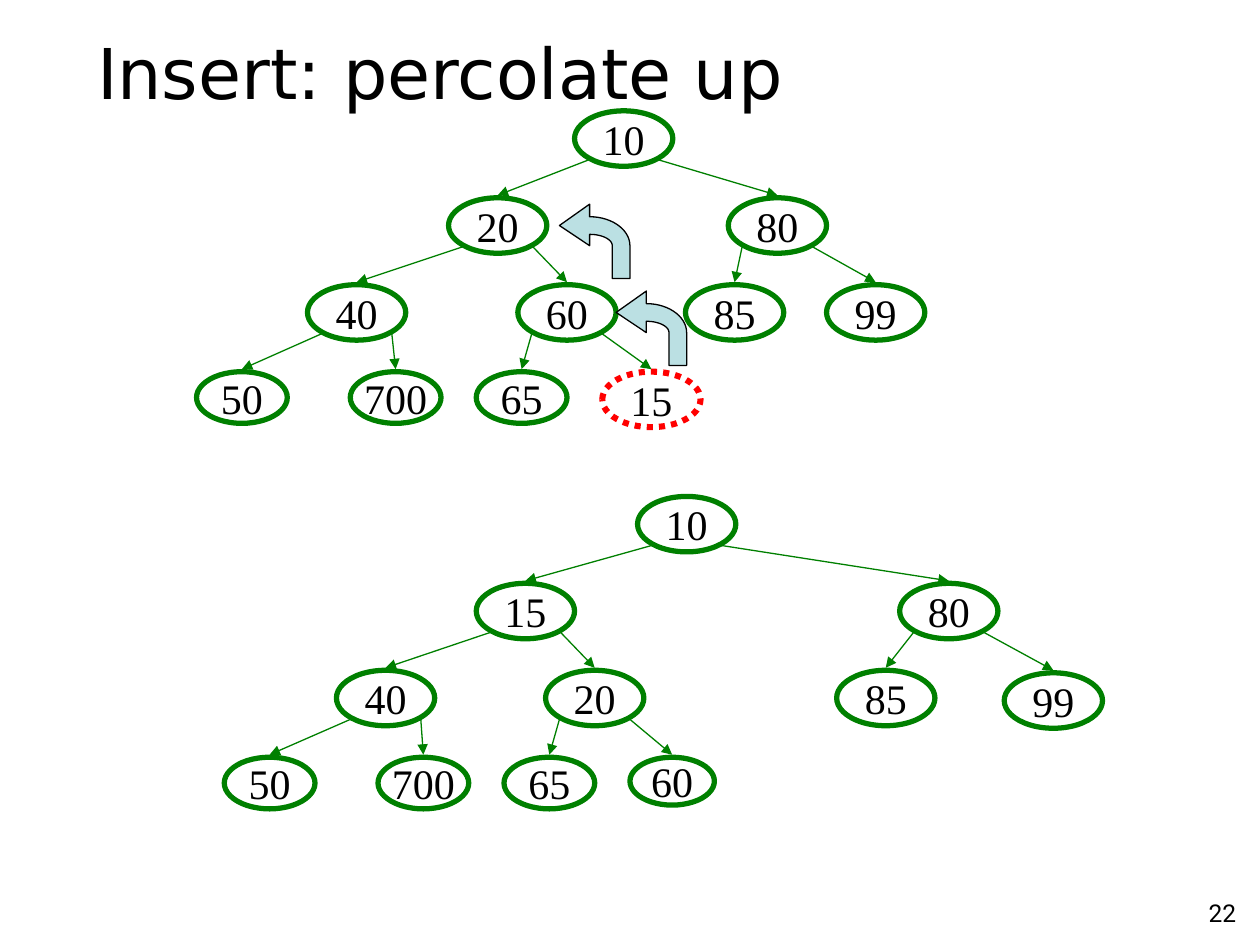
import math
import pptx
import pptx.util
import pptx.dml.color
import pptx.enum.dml
import pptx.enum.shapes
import pptx.enum.text
from lxml import etree

Inches = pptx.util.Inches
ALIGN = pptx.enum.text.PP_ALIGN
ANCHOR = pptx.enum.text.MSO_ANCHOR
GREEN, RED, BLACK, BLUE = "008000", "FF0000", "000000", "BBE0E3"


def color(code):
    """Turn a hex string into a colour."""
    return pptx.dml.color.RGBColor.from_string(code)


def write(shape, text, size=24, font="Times New Roman", align=ALIGN.CENTER,
          anchor=ANCHOR.MIDDLE, wrap=False):
    """Put formatted text into a shape."""
    frame = shape.text_frame
    frame.word_wrap = wrap
    frame.vertical_anchor = anchor
    par = frame.paragraphs[0]
    par.alignment = align
    run = par.add_run()
    run.text = text
    run.font.size = pptx.util.Pt(size)
    run.font.name = font
    run.font.color.rgb = color(BLACK)


deck = pptx.Presentation()
deck.slide_width, deck.slide_height = Inches(10), Inches(7.5)
slide = deck.slides.add_slide(deck.slide_layouts[5])
shapes = slide.shapes

title = shapes.title
title.left, title.top = Inches(0.67), Inches(0.19)
title.width, title.height = Inches(8.5), Inches(0.75)
write(title, "Insert: percolate up", size=40, font="DejaVu Sans",
      align=ALIGN.LEFT, wrap=True)

number = shapes.add_textbox(Inches(7.83), Inches(7.08), Inches(2.08), Inches(0.37))
write(number, "22", size=14, font="Roboto", align=ALIGN.RIGHT,
      anchor=ANCHOR.TOP, wrap=True)

# Each heap lists its keys and left edges level by level: children of i are 2i+1, 2i+2
BIG, MID, SMALL = (0.78, 0.44), (0.72, 0.41), (0.67, 0.38)
STEP = 0.69
heaps = [
    (0.88, [("10", 4.56, BIG), ("20", 3.56, BIG), ("80", 5.78, BIG),
            ("40", 2.44, BIG), ("60", 4.11, BIG), ("85", 5.44, BIG),
            ("99", 6.56, BIG), ("50", 1.56, MID), ("700", 2.78, MID),
            ("65", 3.78, MID), ("15", 4.78, BIG)], "15"),
    (3.94, [("10", 5.06, BIG), ("15", 3.78, BIG), ("80", 7.14, BIG),
            ("40", 2.67, BIG), ("20", 4.33, BIG), ("85", 6.64, BIG),
            ("99", 7.97, BIG), ("50", 1.78, MID), ("700", 3, MID),
            ("65", 4, MID), ("60", 5, SMALL)], None),
]

for start, nodes, fresh in heaps:
    for i, (key, left, (width, height)) in enumerate(nodes):
        level = int(math.log2(i + 1))
        top = start + level * STEP
        if start > 3 and key == "99":
            top += 0.02
        node = shapes.add_shape(pptx.enum.shapes.MSO_SHAPE.OVAL, Inches(left),
                                Inches(top), Inches(width), Inches(height))
        node.shadow.inherit = False
        node.fill.background()
        node.line.color.rgb = color(RED if key == fresh else GREEN)
        node.line.width = pptx.util.Pt(3.5 if key == fresh else 3)
        if key == fresh:
            node.line.dash_style = pptx.enum.dml.MSO_LINE.ROUND_DOT
        write(node, key)
        if i == 0:
            continue

        # Edge from the parent's lower left or lower right to the child's top
        origin = nodes[(i - 1) // 2][1] + (0.11 if i % 2 else 0.67)
        edge = shapes.add_connector(
            pptx.enum.shapes.MSO_CONNECTOR.STRAIGHT,
            Inches(origin), Inches(start + (level - 1) * STEP + 0.39),
            Inches(left + width / 2), Inches(top - 0.02))
        edge.line.color.rgb = color(GREEN)
        edge.line.width = pptx.util.Pt(0.75)
        props = edge.element.spPr
        space = "{" + props.nsmap["a"] + "}"
        etree.SubElement(edge.line._get_or_add_ln(), space + "tailEnd", type="triangle")
        etree.SubElement(props, space + "effectLst")

# Bent arrows: a head pointing left and a shaft that turns down
turn = [math.radians(6 * k) for k in range(16)]
outer = [(0.24 + 0.32 * math.sin(t), 0.33 - 0.23 * math.cos(t)) for t in turn]
inner = [(0.24 + 0.18 * math.sin(t), 0.33 - 0.09 * math.cos(t)) for t in turn]
bend = ([(0, 0.17), (0.24, 0)] + outer + [(0.56, 0.59), (0.42, 0.59)]
        + inner[::-1] + [(0.24, 0.33)])
for left, top in [(4.89, 2.31), (4.44, 1.62)]:
    points = [(Inches(left + x), Inches(top + y)) for x, y in bend]
    path = shapes.build_freeform(*points[0])
    path.add_line_segments(points[1:], close=True)
    arrow = path.convert_to_shape()
    arrow.shadow.inherit = False
    arrow.fill.solid()
    arrow.fill.fore_color.rgb = color(BLUE)
    arrow.line.color.rgb = color(BLACK)
    arrow.line.width = pptx.util.Pt(0.75)

deck.save("out.pptx")
